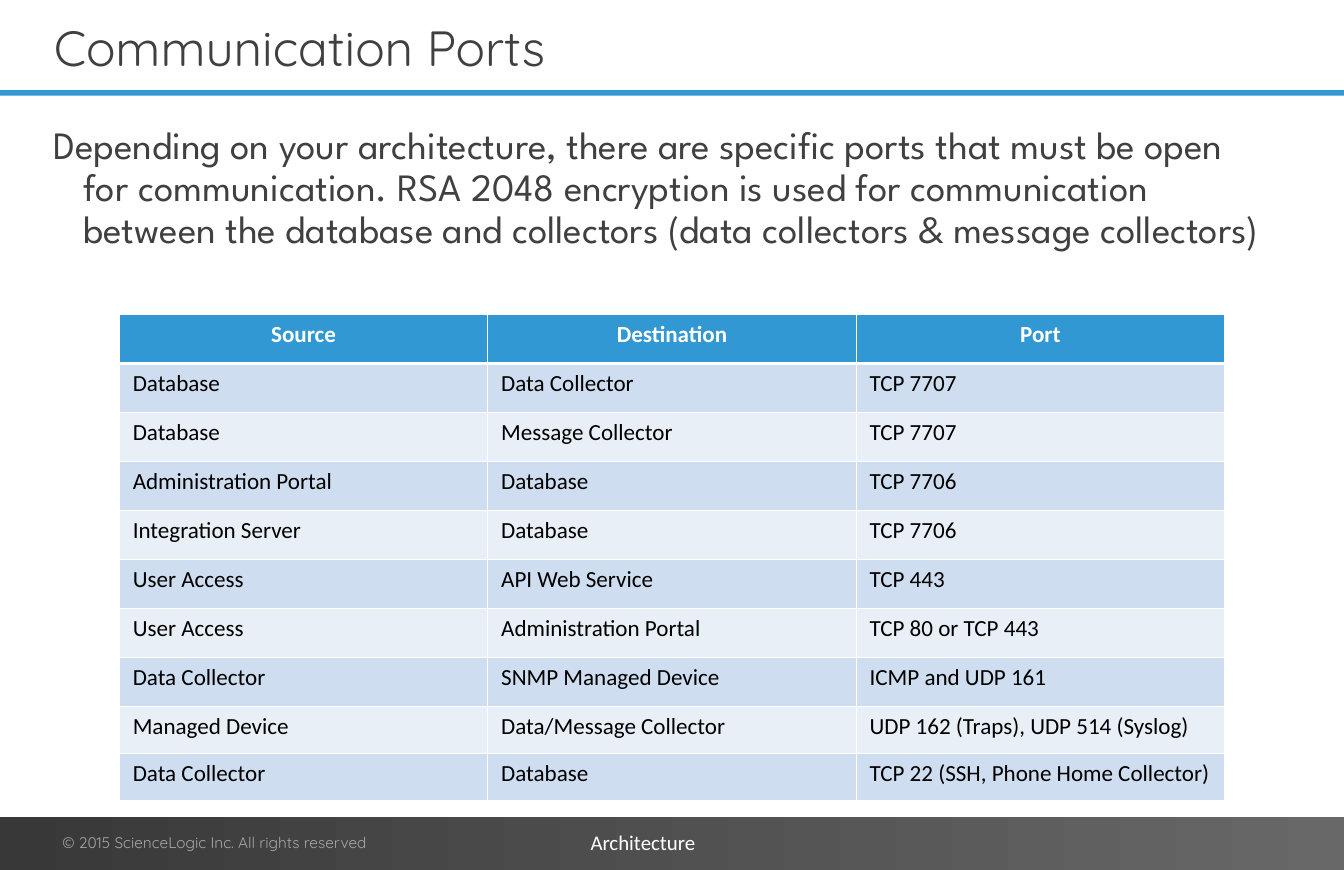
from lxml import etree
from pptx import Presentation
from pptx import util as u
from pptx.dml.color import RGBColor
from pptx.enum import shapes, text
from pptx.oxml.ns import qn

TITLE = "Communication Ports"
INTRO = (
    "Depending on your architecture, there are specific ports that must be open "
    "for communication. RSA 2048 encryption is used for communication between "
    "the database and collectors (data collectors & message collectors)"
)
RIGHTS = "© 2015 ScienceLogic Inc. All rights reserved"
TOPIC = "Architecture"
PORTS = [
    ("Source", "Destination", "Port"),
    ("Database", "Data Collector", "TCP 7707"),
    ("Database", "Message Collector", "TCP 7707"),
    ("Administration Portal", "Database", "TCP 7706"),
    ("Integration Server", "Database", "TCP 7706"),
    ("User Access", "API Web Service", "TCP 443"),
    ("User Access", "Administration Portal", "TCP 80 or TCP 443"),
    ("Data Collector", "SNMP Managed Device", "ICMP and UDP 161"),
    ("Managed Device", "Data/Message Collector", "UDP 162 (Traps), UDP 514 (Syslog)"),
    ("Data Collector", "Database", "TCP 22 (SSH, Phone Home Collector)"),
]

BLUE = RGBColor(0x32, 0x98, 0xD4)
BANDS = RGBColor(0xCE, 0xDD, 0xEF), RGBColor(0xE8, 0xEF, 0xF7)
DARK = RGBColor(0x38, 0x38, 0x38)
GREY = RGBColor(0x68, 0x68, 0x68)
PALE = RGBColor(0xA6, 0xA6, 0xA6)
INK = RGBColor(0x40, 0x40, 0x40)
WHITE = RGBColor(0xFF, 0xFF, 0xFF)
BLACK = RGBColor(0, 0, 0)

PX = 9144  # 100 px to the inch
WIDTH, HEIGHT = 1700, 1100
COL = 466
ROWS = [62] * 8 + [59] * 2
LEFT, CENTER = text.PP_ALIGN.LEFT, text.PP_ALIGN.CENTER


def px(*sizes):
    return [u.Emu(size * PX) for size in sizes]


def write(frame, words, *, font, size, color, bold=False, align=LEFT, line=None):
    para = frame.paragraphs[0]
    etree.SubElement(para._p.get_or_add_pPr(), qn("a:buNone"))
    para.alignment = align
    para.space_before = u.Pt(0)
    para.line_spacing = line
    run = para.add_run()
    run.text = words
    run.font.name, run.font.size = font, u.Pt(size)
    run.font.color.rgb, run.font.bold = color, bold


def pad(frame, wrap=True, anchor=text.MSO_ANCHOR.TOP):
    frame.auto_size = text.MSO_AUTO_SIZE.NONE
    frame.margin_left, frame.margin_top = px(16, 8)
    frame.margin_right, frame.margin_bottom = px(16, 8)
    frame.word_wrap, frame.vertical_anchor = wrap, anchor


def add_bar(slide, top, tall):
    bar = slide.shapes.add_shape(shapes.MSO_SHAPE.RECTANGLE, *px(0, top, WIDTH, tall))
    bar.shadow.inherit = False
    bar.line.fill.background()
    return bar.fill


def add_label(slide, box, words, wrap=True, **style):
    frame = slide.shapes.add_textbox(*px(*box)).text_frame
    pad(frame, wrap)
    write(frame, words, **style)


def fill_holder(holder, box, words, anchor, **style):
    holder.left, holder.top, holder.width, holder.height = px(*box)
    pad(holder.text_frame, anchor=anchor)
    write(holder.text_frame, words, **style)


def add_edge(cell, side, points):
    edge = etree.SubElement(cell._tc.get_or_add_tcPr(), qn("a:ln" + side), w=str(u.Pt(points)))
    fill = etree.SubElement(edge, qn("a:solidFill"))
    etree.SubElement(fill, qn("a:srgbClr"), val=str(WHITE))


def add_ports(slide):
    count = len(PORTS[0])
    box = px(151, 398, COL * count, sum(ROWS))
    table = slide.shapes.add_table(len(PORTS), count, *box).table
    table.horz_banding = False
    for col in table.columns:
        col.width = px(COL)[0]
    for r, names in enumerate(PORTS):
        head = r == 0
        table.rows[r].height = px(ROWS[r])[0]
        for c, name in enumerate(names):
            cell = table.cell(r, c)
            cell.margin_left, cell.margin_top, cell.margin_right, cell.margin_bottom = px(17, 7, 17, 7)
            for side, points in zip("LRTB", (1, 1, 3 if r == 1 else 1, 3 if head else 1)):
                add_edge(cell, side, points)
            cell.fill.solid()
            cell.fill.fore_color.rgb = BLUE if head else BANDS[(r - 1) % 2]
            write(cell.text_frame, name, font="Calibri", size=21, bold=head,
                  color=WHITE if head else BLACK, align=CENTER if head else LEFT)


def main():
    deck = Presentation()
    deck.slide_width, deck.slide_height = px(WIDTH, HEIGHT)
    slide = deck.slides.add_slide(deck.slide_layouts[1])

    rule = add_bar(slide, 114, 7)
    rule.solid()
    rule.fore_color.rgb = BLUE
    foot = add_bar(slide, 1033, 67)
    foot.gradient()
    foot.gradient_angle = 0
    for stop, place, color in zip(foot.gradient_stops, (0, 1), (DARK, GREY)):
        stop.position, stop.color.rgb = place, color

    fill_holder(slide.shapes.title, (52, 1, 1485, 117), TITLE, text.MSO_ANCHOR.MIDDLE,
                font="Quicksand", size=45, color=INK)
    fill_holder(slide.placeholders[1], (52, 152, 1563, 240), INTRO, text.MSO_ANCHOR.TOP,
                font="League Spartan", size=35.2, color=INK, line=0.9)
    add_label(slide, (63, 1046, 500, 40), RIGHTS, font="Quicksand", size=14, color=PALE)
    add_label(slide, (731, 1041, 166, 48), TOPIC, wrap=False,
              font="Calibri", size=19, color=WHITE)
    add_ports(slide)
    deck.save("out.pptx")


if __name__ == "__main__":
    main()
